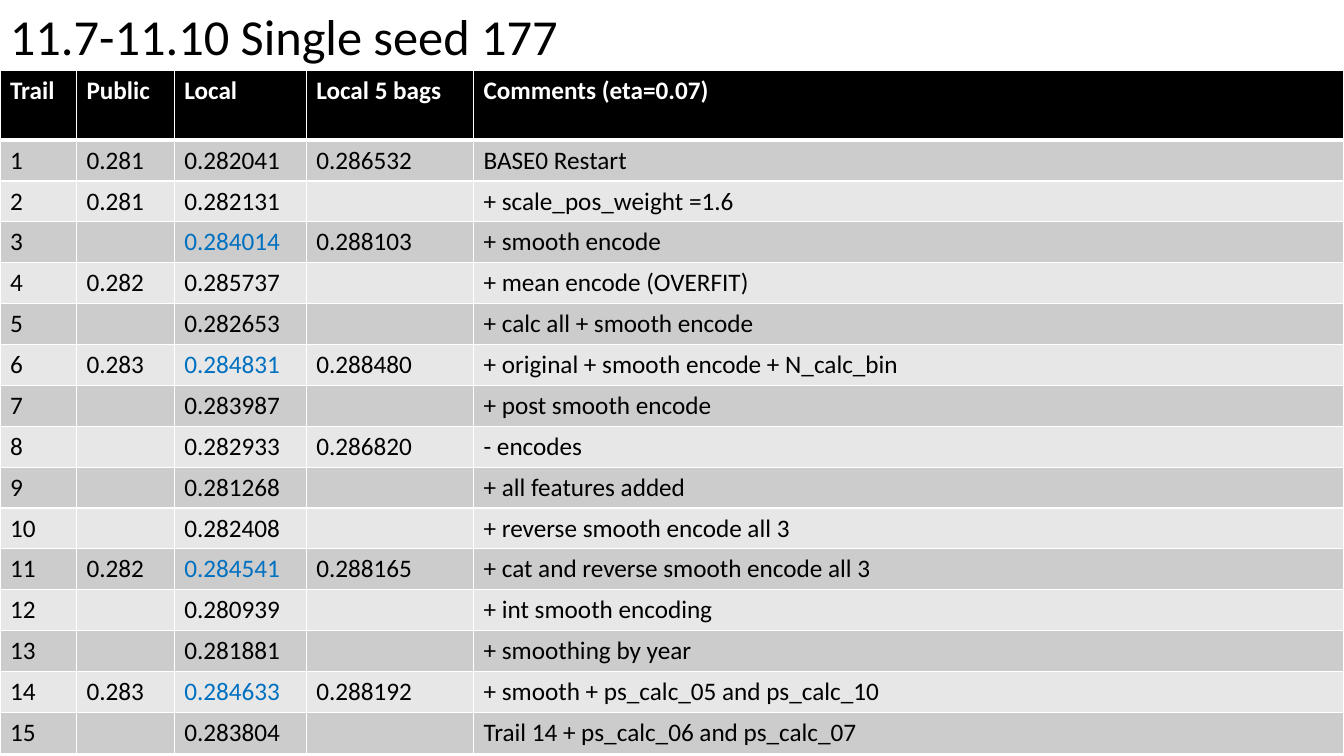
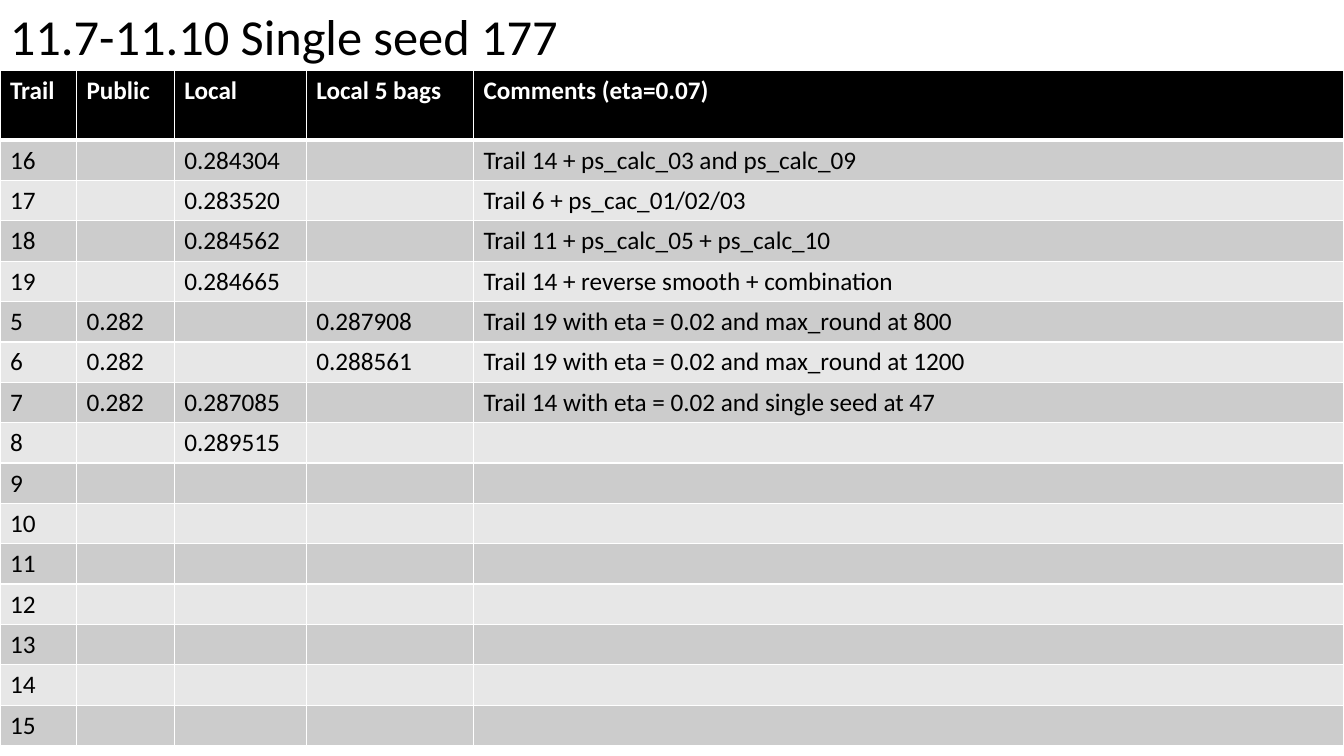
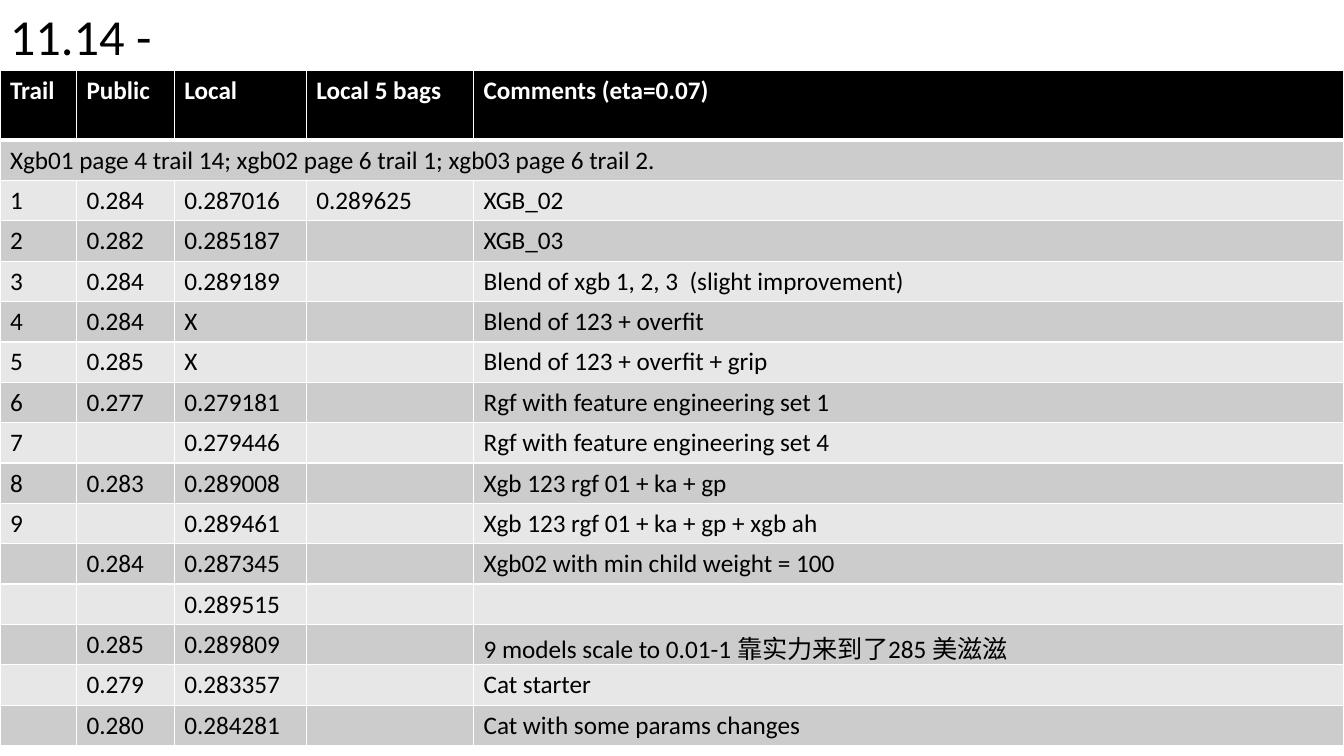
from lxml.etree import SubElement
from pptx import Presentation
from pptx.dml.color import RGBColor
from pptx.enum.text import MSO_AUTO_SIZE as AutoSize
from pptx.oxml.ns import qn
from pptx.util import Pt

BLACK = RGBColor(0x00, 0x00, 0x00)
WHITE = RGBColor(0xFF, 0xFF, 0xFF)
BLUE = RGBColor(0x00, 0x70, 0xC0)
DARK_BAND = RGBColor(0xCC, 0xCC, 0xCC)
LIGHT_BAND = RGBColor(0xE7, 0xE7, 0xE7)

HEADINGS = ("Trail", "Public", "Local", "Local 5 bags", "Comments (eta=0.07)")
BEST_SCORES = {"0.284014", "0.284831", "0.284541", "0.284633"}

PAGES = [
    ("11.7-11.10 Single seed 177", [
        ("1", "0.281", "0.282041", "0.286532", "BASE0 Restart"),
        ("2", "0.281", "0.282131", "", "+ scale_pos_weight =1.6"),
        ("3", "", "0.284014", "0.288103", "+ smooth encode"),
        ("4", "0.282", "0.285737", "", "+ mean encode (OVERFIT)"),
        ("5", "", "0.282653", "", "+ calc all + smooth encode"),
        ("6", "0.283", "0.284831", "0.288480", "+ original + smooth encode + N_calc_bin"),
        ("7", "", "0.283987", "", "+ post smooth encode"),
        ("8", "", "0.282933", "0.286820", "- encodes"),
        ("9", "", "0.281268", "", "+ all features added"),
        ("10", "", "0.282408", "", "+ reverse smooth encode all 3"),
        ("11", "0.282", "0.284541", "0.288165", "+ cat and reverse smooth encode all 3"),
        ("12", "", "0.280939", "", "+ int smooth encoding"),
        ("13", "", "0.281881", "", "+ smoothing by year"),
        ("14", "0.283", "0.284633", "0.288192", "+ smooth + ps_calc_05 and ps_calc_10"),
        ("15", "", "0.283804", "", "Trail 14 + ps_calc_06 and ps_calc_07"),
    ]),
    ("11.7-11.10 Single seed 177", [
        ("16", "", "0.284304", "", "Trail 14 + ps_calc_03 and ps_calc_09"),
        ("17", "", "0.283520", "", "Trail 6 + ps_cac_01/02/03"),
        ("18", "", "0.284562", "", "Trail 11 + ps_calc_05 + ps_calc_10"),
        ("19", "", "0.284665", "", "Trail 14 + reverse smooth + combination"),
        ("5", "0.282", "", "0.287908", "Trail 19 with eta = 0.02 and max_round at 800"),
        ("6", "0.282", "", "0.288561", "Trail 19 with eta = 0.02 and max_round at 1200"),
        ("7", "0.282", "0.287085", "", "Trail 14 with eta = 0.02 and single seed at 47"),
        ("8", "", "0.289515", "", ""),
        *[(str(trail), "", "", "", "") for trail in range(9, 16)],
    ]),
    ("11.14 -", [
        ("Xgb01 page 4 trail 14; xgb02 page 6 trail 1; xgb03 page 6 trail 2.",),
        ("1", "0.284", "0.287016", "0.289625", "XGB_02"),
        ("2", "0.282", "0.285187", "", "XGB_03"),
        ("3", "0.284", "0.289189", "", "Blend of xgb 1, 2, 3  (slight improvement)"),
        ("4", "0.284", "X", "", "Blend of 123 + overfit"),
        ("5", "0.285", "X", "", "Blend of 123 + overfit + grip"),
        ("6", "0.277", "0.279181", "", "Rgf with feature engineering set 1"),
        ("7", "", "0.279446", "", "Rgf with feature engineering set 4"),
        ("8", "0.283", "0.289008", "", "Xgb 123 rgf 01 + ka + gp"),
        ("9", "", "0.289461", "", "Xgb 123 rgf 01 + ka + gp + xgb ah"),
        ("", "0.284", "0.287345", "", "Xgb02 with min child weight = 100"),
        ("", "", "0.289515", "", ""),
        ("", "0.285", "0.289809", "", "9 models scale to 0.01-1 靠实力来到了285 美滋滋"),
        ("", "0.279", "0.283357", "", "Cat starter"),
        ("", "0.280", "0.284281", "", "Cat with some params changes"),
    ]),
]

SLIDE_WIDTH, SLIDE_HEIGHT = 960, 540
TITLE_HEIGHT = 51
TABLE_TOP = 50.4
HEADER_HEIGHT, TRIAL_HEIGHT = 49.7, 28.1
SCORE_WIDTHS = [54.6, 69.9, 94.3, 119.5]
COLUMN_WIDTHS = SCORE_WIDTHS + [SLIDE_WIDTH - sum(SCORE_WIDTHS)]
THIN, THICK = 1, 3

TITLE_FORMAT = {"name": "Calibri", "size": Pt(36), "bold": False}
HEADER_FORMAT = {"name": "Calibri", "size": Pt(18), "bold": True}
TRIAL_FORMAT = {**HEADER_FORMAT, "bold": False}


def write(frame, text, font_format, color):
    paragraph = frame.paragraphs[0]
    font = paragraph.font
    if text:
        run = paragraph.add_run()
        run.text = text
        font = run.font
    for attribute, value in font_format.items():
        setattr(font, attribute, value)
    font.color.rgb = color


def add_borders(cell, top, bottom):
    properties = cell._tc.get_or_add_tcPr()
    for side, width in (("L", THIN), ("R", THIN), ("T", top), ("B", bottom)):
        line = SubElement(properties, qn(f"a:ln{side}"), w=str(Pt(width)))
        SubElement(SubElement(line, qn("a:solidFill")), qn("a:srgbClr"), val=str(WHITE))


def fill_cell(cell, row, text):
    add_borders(cell, THICK if row == 1 else THIN, THICK if row == 0 else THIN)
    cell.fill.solid()
    if row == 0:
        cell.fill.fore_color.rgb = BLACK
        write(cell.text_frame, text, HEADER_FORMAT, WHITE)
    else:
        cell.fill.fore_color.rgb = DARK_BAND if row % 2 else LIGHT_BAND
        write(cell.text_frame, text, TRIAL_FORMAT, BLUE if text in BEST_SCORES else BLACK)


def add_trials(slide, trials):
    rows = [HEADINGS, *trials]
    heights = [HEADER_HEIGHT] + [TRIAL_HEIGHT] * len(trials)
    table = slide.shapes.add_table(
        len(rows), len(HEADINGS), Pt(0), Pt(TABLE_TOP), Pt(SLIDE_WIDTH), Pt(sum(heights))
    ).table
    for column, width in zip(table.columns, COLUMN_WIDTHS):
        column.width = Pt(width)
    for row, (texts, height) in enumerate(zip(rows, heights)):
        table.rows[row].height = Pt(height)
        for column, text in enumerate(texts):
            fill_cell(table.cell(row, column), row, text)
        if len(texts) == 1:
            table.cell(row, 0).merge(table.cell(row, len(HEADINGS) - 1))


def add_title(slide, title):
    frame = slide.shapes.add_textbox(Pt(0), Pt(0), Pt(SLIDE_WIDTH), Pt(TITLE_HEIGHT)).text_frame
    frame.word_wrap = True
    frame.auto_size = AutoSize.SHAPE_TO_FIT_TEXT
    write(frame, title, TITLE_FORMAT, BLACK)


def main():
    deck = Presentation()
    deck.slide_width, deck.slide_height = Pt(SLIDE_WIDTH), Pt(SLIDE_HEIGHT)
    for title, trials in PAGES:
        slide = deck.slides.add_slide(deck.slide_layouts[6])
        add_trials(slide, trials)
        add_title(slide, title)
    deck.save("out.pptx")


if __name__ == "__main__":
    main()
